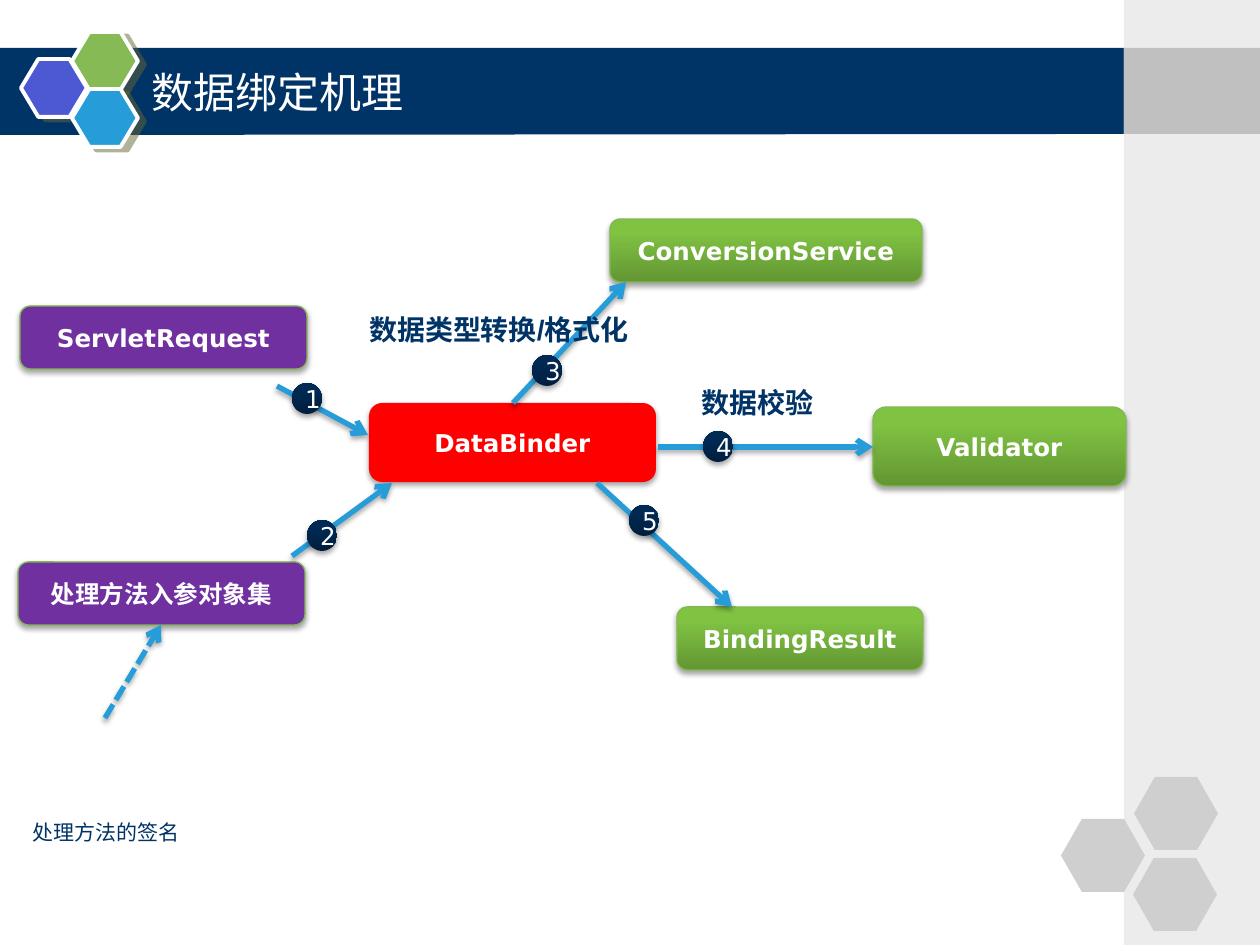
from lxml.etree import SubElement
from pptx import Presentation
from pptx.dml.color import RGBColor
from pptx.enum.dml import MSO_LINE
from pptx.enum.shapes import MSO_CONNECTOR, MSO_SHAPE
from pptx.enum.text import MSO_ANCHOR, PP_ALIGN
from pptx.oxml.ns import qn
from pptx.util import Pt

SCALE = 914400 / 126
NAVY, BLUE, WHITE = "003366", "269DD8", "FFFFFF"
GREEN, DARK = ("639633", "80C343"), ("001F40", "002953")
PURPLE, RED, EDGE = "7030A0", "FF0000", "82B850"
SOFT = ("000000", 35, 3.1, 1.8, 90)
HARD = ("666633", 50, 0, 4.5, 27)


def px(*nums):
    return [round(n * SCALE) for n in nums]


def color(code):
    return RGBColor.from_string(code)


def paint(fill, code):
    """Fill with one colour, or from bottom to top with a pair."""
    if isinstance(code, str):
        fill.solid()
        fill.fore_color.rgb = color(code)
        return
    fill.gradient()
    fill.gradient_angle = 90
    for stop, part, place in zip(fill.gradient_stops, code, (0, 0.8)):
        stop.color.rgb = color(part)
        stop.position = place


def shade(props, look):
    """Add an effect list holding one outer shadow, or none."""
    effects = SubElement(props, qn("a:effectLst"))
    if look:
        tint, alpha, blur, dist, angle = look
        outer = SubElement(effects, qn("a:outerShdw"), blurRad=str(Pt(blur)),
                           dist=str(Pt(dist)), dir=str(angle * 60000),
                           algn="ctr", rotWithShape="0")
        rgb = SubElement(outer, qn("a:srgbClr"), val=tint)
        SubElement(rgb, qn("a:alpha"), val=str(alpha * 1000))


def style(shape, fill, line=None, width=0.75, look=None):
    paint(shape.fill, fill)
    if line:
        shape.line.color.rgb = color(line)
        shape.line.width = Pt(width)
    else:
        shape.line.fill.background()
    shade(shape._element.spPr, look)


def draw(slide, kind, box, fill, **looks):
    shape = slide.shapes.add_shape(kind, *px(*box))
    style(shape, fill, **looks)
    return shape


def write(shape, text, size, tone=WHITE, bold=False, font="DejaVu Sans",
          align=PP_ALIGN.LEFT, anchor=MSO_ANCHOR.MIDDLE, wrap=True):
    frame = shape.text_frame
    frame.word_wrap = wrap
    frame.vertical_anchor = anchor
    para = frame.paragraphs[0]
    para.alignment = align
    run = para.add_run()
    run.text = text
    run.font.size = Pt(size)
    run.font.bold = bold
    run.font.name = font
    run.font.color.rgb = color(tone)


def hexes(slide, left, top, size, adjust, items, **looks):
    for x, y, fill in items:
        shape = draw(slide, MSO_SHAPE.HEXAGON, (left + x, top + y, *size), fill, **looks)
        shape.adjustments[0] = adjust


def banner(slide, box):
    left, top, width, height = box
    points = [(left, top), (left + width, top), (left + width - 1, top + height - 1),
              (left, top + height)]
    start, *rest = [px(*point) for point in points]
    form = slide.shapes.build_freeform(*start, scale=1.0)
    form.add_line_segments(rest, close=True)
    style(form.convert_to_shape(), NAVY)
    # Logo cells
    hexes(slide, left + 25, top - 16, (66, 58), 0.3,
          [(0, 27, "4C59D2"), (51, 0, "85BA54"), (51, 57, BLUE)],
          line=WHITE, width=2.25, look=HARD)
    title = slide.shapes.add_textbox(*px(left + 143, top + 5, 1007, 78))
    write(title, "数据绑定机理", 24)


def side(slide, box):
    left, top, width, height = box
    draw(slide, MSO_SHAPE.RECTANGLE, box, "ECECEC")
    draw(slide, MSO_SHAPE.RECTANGLE, (left, top + 48, width, 86), "C0C0C0")
    # Corner cells
    gray = "CFCFCF"
    hexes(slide, left - 63, top + height - 168, (84, 73), 0.286,
          [(0, 42, gray), (73, 0, gray), (72, 81, gray)])


def node(slide, box, text, fill, line):
    shape = draw(slide, MSO_SHAPE.ROUNDED_RECTANGLE, box, fill, line=line, look=SOFT)
    write(shape, text, 14, bold=True, align=PP_ALIGN.CENTER)


def arrow(slide, start, end, dash=False):
    link = slide.shapes.add_connector(MSO_CONNECTOR.STRAIGHT, *px(*start, *end))
    link.line.color.rgb = color(BLUE)
    link.line.width = Pt(3)
    if dash:
        link.line.dash_style = MSO_LINE.SQUARE_DOT
    SubElement(link.line._get_or_add_ln(), qn("a:tailEnd"), type="arrow")
    shade(link._element.spPr, SOFT)


def badge(slide, left, top, text):
    shape = draw(slide, MSO_SHAPE.OVAL, (left, top, 30, 31), DARK, look=SOFT)
    frame = shape.text_frame
    frame.margin_left = px(12)[0]
    frame.margin_right = frame.margin_top = frame.margin_bottom = 0
    write(shape, text, 14, align=PP_ALIGN.CENTER, wrap=False)


def flow(slide, box):
    left, top = box[:2]
    # Nodes
    for x, y, width, height, text, fill, line in [
        (369, 203, 287, 79, "DataBinder", RED, None),
        (610, 19, 312, 63, "ConversionService", GREEN, EDGE),
        (873, 207, 253, 79, "Validator", GREEN, EDGE),
        (677, 407, 246, 63, "BindingResult", GREEN, EDGE),
        (20, 106, 287, 63, "ServletRequest", PURPLE, EDGE),
        (18, 362, 287, 63, "处理方法入参对象集", PURPLE, EDGE),
    ]:
        node(slide, (left + x, top + y, width, height), text, fill, line)
    # Arrows, each with its step number
    for x1, y1, x2, y2, x, y, step in [
        (277, 186, 368, 235, 292, 183, "1"),
        (292, 356, 392, 283, 307, 320, "2"),
        (513, 203, 626, 82, 532, 155, "3"),
        (658, 247, 873, 247, 703, 231, "4"),
        (597, 283, 732, 407, 629, 305, "5"),
    ]:
        arrow(slide, (left + x1, top + y1), (left + x2, top + y2))
        badge(slide, left + x, top + y, step)
    arrow(slide, (left + 105, top + 518), (left + 161, top + 425), dash=True)
    # Labels
    for x, y, width, height, text, size, bold in [
        (20, 613, 176, 38, "处理方法的签名", 12, False),
        (357, 106, 333, 47, "数据类型转换/格式化", 16, True),
        (689, 179, 154, 47, "数据校验", 16, True),
    ]:
        label = slide.shapes.add_textbox(*px(left + x, top + y, width, height))
        write(label, text, size, NAVY, bold, "Arial", anchor=MSO_ANCHOR.TOP)


def main():
    deck = Presentation()
    deck.slide_width, deck.slide_height = px(1260, 945)
    slide = deck.slides.add_slide(deck.slide_layouts[6])
    banner(slide, (-4, 48, 1130, 87))
    side(slide, (1124, 0, 136, 945))
    flow(slide, (0, 200, 1126, 660))
    deck.save("out.pptx")


if __name__ == "__main__":
    main()
